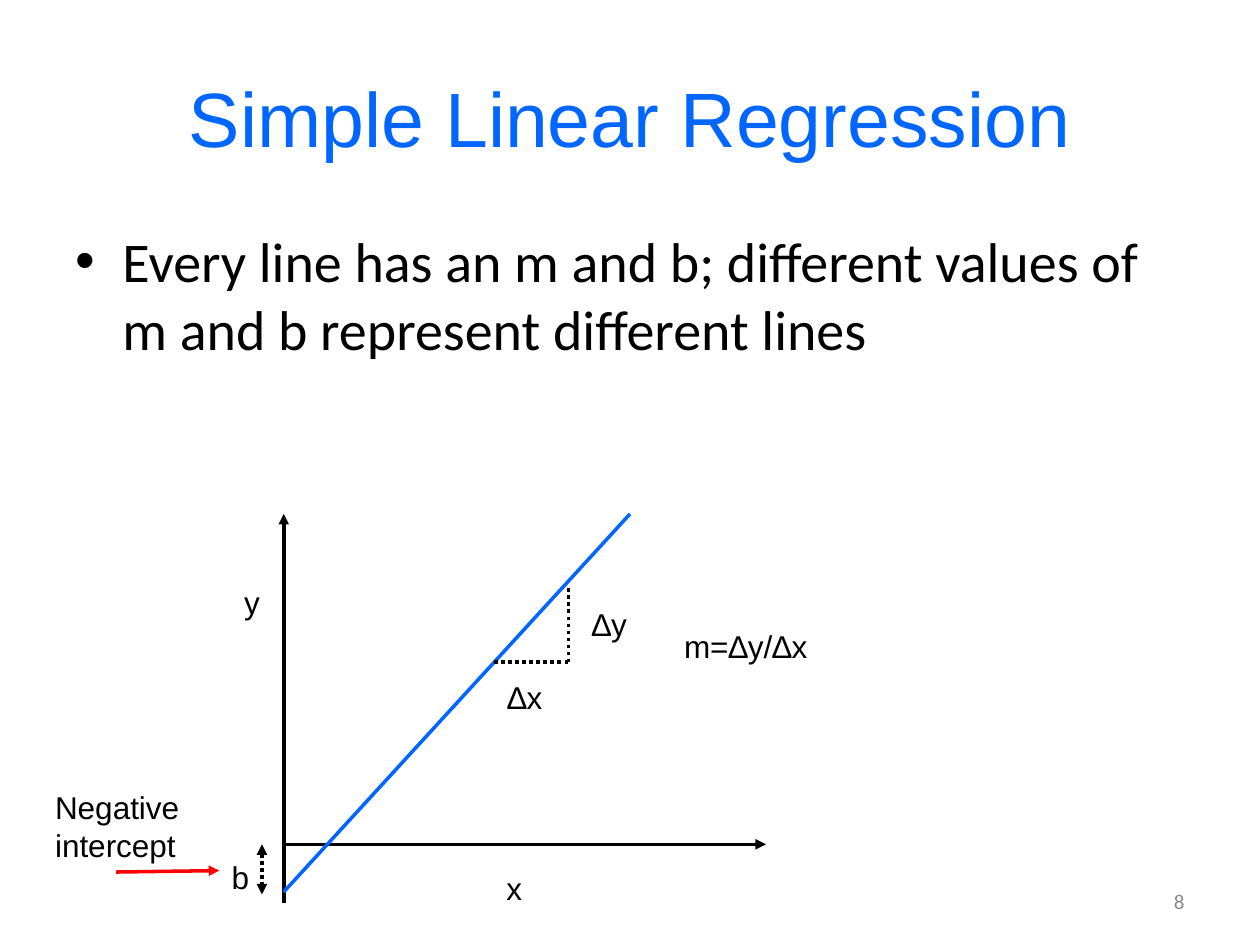
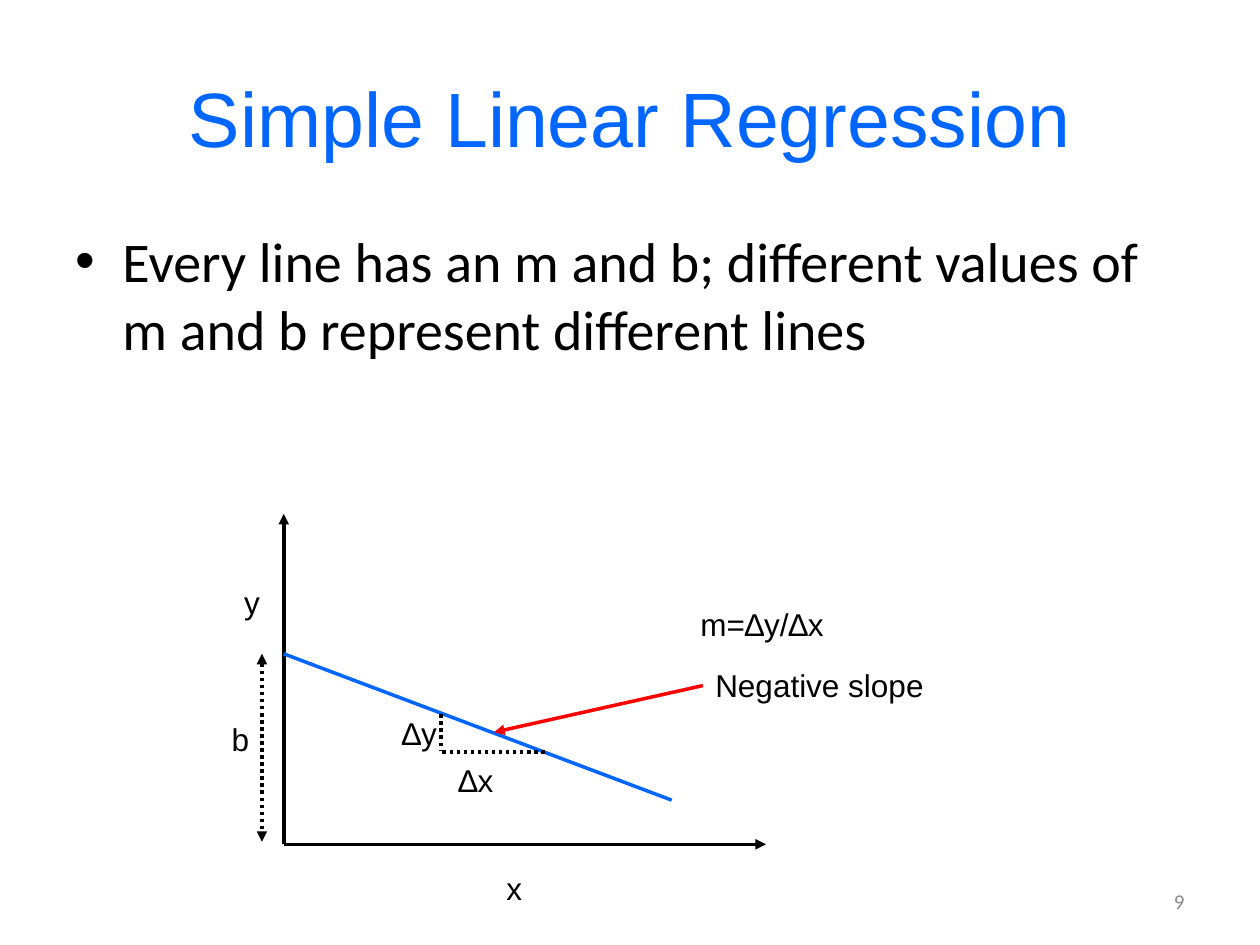
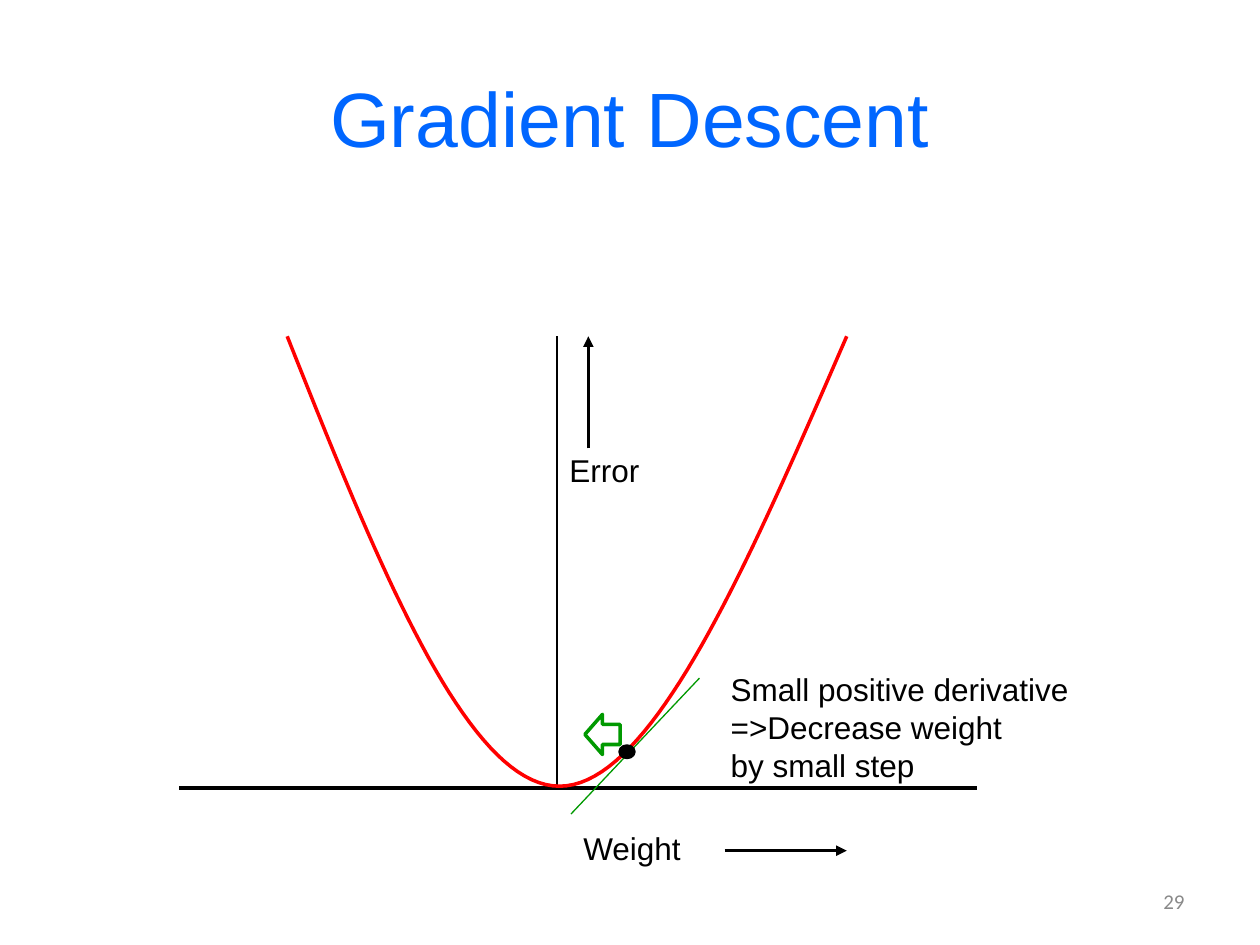
from dataclasses import dataclass

from lxml.etree import SubElement
from pptx import Presentation
from pptx.dml.color import RGBColor as RGB
from pptx.enum.dml import MSO_LINE_DASH_STYLE as DASH
from pptx.enum.shapes import MSO_CONNECTOR as CONNECTOR, MSO_SHAPE as SHAPE
from pptx.enum.text import MSO_ANCHOR as ANCHOR, MSO_AUTO_SIZE as AUTO, PP_ALIGN as ALIGN
from pptx.oxml.ns import qn
from pptx.util import Cm, Pt


@dataclass(frozen=True)
class Theme:
    black: RGB = RGB(0, 0, 0)
    blue: RGB = RGB(0x00, 0x66, 0xFF)
    red: RGB = RGB(0xFF, 0, 0)
    green: RGB = RGB(0, 0x99, 0)
    grey: RGB = RGB(0x89, 0x89, 0x89)
    drawing_font: str = "Arial"
    body_font: str = "Calibri"
    title_size: int = 44
    body_size: int = 32
    label_size: int = 18
    number_size: int = 12
    thick: float = 2
    thin: float = 0.75


THEME = Theme()
TITLE_AREA = (1.27, 0.76, 22.86, 3.18)
BODY_AREA = (1.27, 4.45, 22.86, 12.57)
NUMBER_AREA = (18.21, 17.65, 5.92, 1.02)
LABEL_HEIGHT = 1.02

# Axes shared by the two regression graphs
ORIGIN_X, ORIGIN_Y = 5.72, 17.02
AXIS_TOP, AXIS_RIGHT = 10.36, 15.44
INTERCEPT_X = 5.28


def cubic(start, control_a, control_b, end, steps=40):
    """Points along a cubic curve."""
    for step in range(steps + 1):
        t = step / steps
        weights = ((1 - t) ** 3, 3 * t * (1 - t) ** 2, 3 * t * t * (1 - t), t ** 3)
        knots = (start, control_a, control_b, end)
        yield tuple(sum(w * knot[axis] for w, knot in zip(weights, knots))
                    for axis in (0, 1))


class Painter:
    def __init__(self, theme):
        self.theme = theme
        self.deck = Presentation()
        self.deck.slide_width, self.deck.slide_height = Cm(25.4), Cm(19.05)
        self.page = None

    def start_page(self, title, number):
        theme = self.theme
        self.page = self.deck.slides.add_slide(self.deck.slide_layouts[5])
        box = self.page.shapes.title
        box.left, box.top, box.width, box.height = map(Cm, TITLE_AREA)
        frame = box.text_frame
        frame.word_wrap, frame.auto_size = True, AUTO.NONE
        frame.vertical_anchor = ANCHOR.MIDDLE
        para = frame.paragraphs[0]
        para.alignment = ALIGN.CENTER
        self.span(para, title, theme.title_size, theme.blue)
        para = self.text(NUMBER_AREA, [str(number)], theme.number_size, theme.grey,
                         theme.body_font, anchor=ANCHOR.MIDDLE)
        para.alignment = ALIGN.RIGHT

    def span(self, para, words, size, color, font=None):
        span = para.add_run()
        span.text = words
        span.font.name = font or self.theme.drawing_font
        span.font.size = Pt(size)
        span.font.color.rgb = color

    def text(self, area, lines, size, color, font=None, wrap=True, anchor=ANCHOR.TOP):
        box = self.page.shapes.add_textbox(*map(Cm, area))
        frame = box.text_frame
        frame.word_wrap, frame.vertical_anchor = wrap, anchor
        for index, words in enumerate(lines):
            para = frame.add_paragraph() if index else frame.paragraphs[0]
            self.span(para, words, size, color, font)
        return frame.paragraphs[0]

    def bullet(self, words):
        theme = self.theme
        para = self.text(BODY_AREA, [words], theme.body_size, theme.black, theme.body_font)
        props = para._p.get_or_add_pPr()
        props.set("marL", str(Cm(0.95)))
        props.set("indent", str(-Cm(0.95)))
        SubElement(props, qn("a:buFont")).set("typeface", theme.drawing_font)
        SubElement(props, qn("a:buChar")).set("char", "•")

    def label(self, left, top, width, *lines, height=LABEL_HEIGHT, wrap=False):
        self.text((left, top, width, height), lines, self.theme.label_size,
                  self.theme.black, wrap=wrap)

    def stroke(self, line, color=None, width=None):
        line.color.rgb = color or self.theme.black
        line.width = Pt(width or self.theme.thick)

    def line(self, start, end, color=None, width=None, dotted=False, heads=()):
        """Straight line; heads may name headEnd (start) and tailEnd (end)."""
        link = self.page.shapes.add_connector(
            CONNECTOR.STRAIGHT, *map(Cm, (*start, *end)))
        self.stroke(link.line, color, width)
        if dotted:
            link.line.dash_style = DASH.ROUND_DOT
        for head in heads:
            SubElement(link.line._get_or_add_ln(), qn(f"a:{head}")).set("type", "triangle")
        SubElement(link._element.spPr, qn("a:effectLst"))

    def arrow(self, start, end, color=None):
        self.line(start, end, color, heads=("tailEnd",))

    def shape(self, preset, area, color, filled=False, rotation=0):
        shape = self.page.shapes.add_shape(preset, *map(Cm, area))
        shape.rotation = rotation
        self.finish(shape, color, filled)

    def curve(self, points, color):
        first, *rest = [(Cm(x), Cm(y)) for x, y in points]
        builder = self.page.shapes.build_freeform(*first)
        builder.add_line_segments(rest, close=False)
        self.finish(builder.convert_to_shape(), color)

    def finish(self, shape, color, filled=False):
        shape.shadow.inherit = False
        if filled:
            shape.fill.solid()
            shape.fill.fore_color.rgb = color
        else:
            shape.fill.background()
        self.stroke(shape.line, color)

    def regression(self, number, axis_bottom, fit, intercept, run, rise, labels):
        """Regression page: axes, fitted line, intercept mark and slope triangle."""
        self.start_page("Simple Linear Regression", number)
        self.bullet("Every line has an m and b; different values of m and b "
                    "represent different lines")
        self.arrow((ORIGIN_X, axis_bottom), (ORIGIN_X, AXIS_TOP))
        self.arrow((ORIGIN_X, ORIGIN_Y), (AXIS_RIGHT, ORIGIN_Y))
        self.line(*fit, color=self.theme.blue)
        self.line(*((INTERCEPT_X, y) for y in intercept), dotted=True,
                  heads=("headEnd", "tailEnd"))
        for side in (run, rise):
            self.line(*side, dotted=True)
        self.label(4.67, 11.63, 0.84, "y")
        self.label(9.96, 17.4, 0.84, "x")
        for words, left, top, width in labels:
            self.label(left, top, width, words)


def main():
    painter = Painter(THEME)

    # Line with a negative intercept
    painter.regression(
        8, axis_bottom=18.21, fit=((ORIGIN_X, 17.98), (12.7, AXIS_TOP)),
        intercept=(ORIGIN_Y, 18.03),
        run=((9.96, 13.34), (11.46, 13.34)), rise=((11.46, 11.86), (11.46, 13.34)),
        labels=[("b", 4.42, 17.17, 0.86), ("∆y", 11.68, 12.07, 1.22),
                ("∆x", 9.98, 13.54, 1.22), ("m=∆y/∆x", 13.54, 12.52, 3.02)])
    painter.label(0.86, 15.77, 4.75, "Negative intercept", height=1.8, wrap=True)
    painter.arrow((2.34, 17.58), (4.42, 17.55), THEME.red)

    # Line with a negative slope
    painter.regression(
        9, axis_bottom=ORIGIN_Y, fit=((ORIGIN_X, 13.18), (13.54, 16.13)),
        intercept=(13.18, 16.97),
        run=((8.92, 15.16), (11.02, 15.16)), rise=((8.89, 14.4), (8.89, 15.14)),
        labels=[("b", 4.42, 14.4, 0.86), ("∆y", 7.85, 14.27, 1.22),
                ("∆x", 8.99, 15.21, 1.22), ("m=∆y/∆x", 13.87, 12.07, 3.02),
                ("Negative slope", 14.17, 13.31, 4.75)])
    painter.arrow((14.17, 13.82), (9.96, 14.76), THEME.red)

    # Error curve and its axes
    painter.start_page("Gradient Descent", 29)
    curve_top, floor = 6.78, 15.88
    painter.line((11.23, curve_top), (11.23, floor), width=THEME.thin)
    painter.line((3.61, floor), (19.69, floor))
    lowest = (11.28, 15.85)
    left_half = cubic((5.79, curve_top), (7.59, 11.3), (9.4, 15.85), lowest)
    right_half = cubic(lowest, (13.16, 15.85), (15.11, 11.3), (17.07, curve_top))
    painter.curve([*left_half, *list(right_half)[1:]], THEME.red)

    # Tangent, labels and step direction
    painter.line((14.1, 13.67), (11.51, 16.41), THEME.green, THEME.thin)
    painter.label(14.48, 13.39, 7.57, "Small positive derivative", "=>Decrease weight",
                  "by small step", height=2.57)
    painter.label(11.23, 8.97, 1.93, "Error")
    painter.label(11.51, 16.59, 3.94, "Weight", wrap=True)
    painter.arrow((14.61, 17.15), (17.07, 17.15))
    painter.arrow((11.86, 9.04), (11.86, curve_top))
    painter.shape(SHAPE.OVAL, (12.5, 15.04, 0.28, 0.23), THEME.black, filled=True)
    painter.shape(SHAPE.RIGHT_ARROW, (11.79, 14.4, 0.71, 0.81), THEME.green, rotation=180)

    painter.deck.save("out.pptx")


if __name__ == "__main__":
    main()
